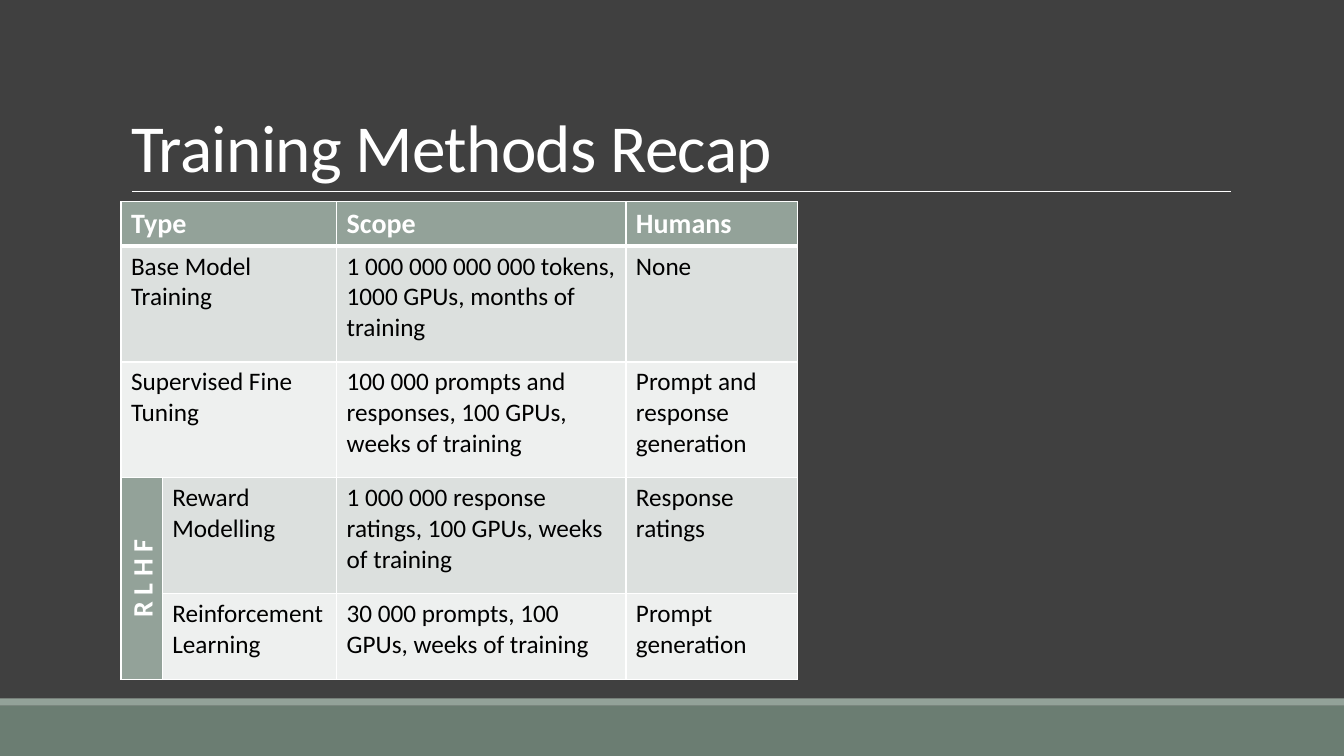
from dataclasses import dataclass

from lxml.etree import SubElement
from pptx import Presentation
from pptx.dml.color import RGBColor
from pptx.enum.shapes import MSO_CONNECTOR, MSO_SHAPE
from pptx.enum.text import MSO_ANCHOR, PP_ALIGN
from pptx.oxml.ns import qn
from pptx.util import Inches, Pt

GRID_COLS, GRID_ROWS = 160, 90


@dataclass(frozen=True)
class Theme:
    font: str = "Calibri"
    background: str = "404040"
    footer: str = "6B7D72"
    accent: str = "93A299"
    bands: tuple = ("DCE0DE", "EEF0EF")
    light: str = "FFFFFF"
    dark: str = "000000"
    title_size: float = 48
    head_size: float = 20
    body_size: float = 18
    thin: float = 1
    thick: float = 3


def rgb(value):
    return RGBColor.from_string(value)


def write(tf, text, *, font, size, color, bold=False, align=PP_ALIGN.LEFT,
          line_spacing=None, tracking=None):
    """Put one formatted paragraph in a text frame; tracking is in points."""
    tf.word_wrap = True
    p = tf.paragraphs[0]
    p.alignment = align
    if line_spacing:
        p.line_spacing = line_spacing
    r = p.add_run()
    r.text = text
    r.font.name, r.font.size, r.font.bold = font, Pt(size), bold
    r.font.color.rgb = rgb(color)
    if tracking:
        r.font._element.set("spc", str(round(tracking * 100)))


def set_borders(cell, color, **widths):
    """Draw cell borders; widths maps L, R, T, B to points, in that order."""
    tcPr = cell._tc.get_or_add_tcPr()
    for side, width in widths.items():
        ln = SubElement(tcPr, qn(f"a:ln{side}"), w=str(Pt(width)))
        fill = SubElement(ln, qn("a:solidFill"))
        SubElement(fill, qn("a:srgbClr"), val=color)


class SlideBuilder:
    """Places elements by columns and rows of the slide grid."""

    def __init__(self, prs, theme):
        self.theme = theme
        self.col = prs.slide_width / GRID_COLS
        self.row = prs.slide_height / GRID_ROWS
        self.slide = prs.slides.add_slide(prs.slide_layouts[5])
        fill = self.slide.background.fill
        fill.solid()
        fill.fore_color.rgb = rgb(theme.background)

    def x(self, cols):
        return round(cols * self.col)

    def y(self, rows):
        return round(rows * self.row)

    def band(self, top, height, color):
        sp = self.slide.shapes.add_shape(
            MSO_SHAPE.RECTANGLE, 0, self.y(top), self.x(GRID_COLS), self.y(height))
        sp.shadow.inherit = False
        sp.fill.solid()
        sp.fill.fore_color.rgb = rgb(color)
        sp.line.fill.background()

    def rule(self, left, right, top, width):
        line = self.slide.shapes.add_connector(
            MSO_CONNECTOR.STRAIGHT, self.x(left), self.y(top), self.x(right), self.y(top))
        line.line.color.rgb = rgb(self.theme.light)
        line.line.width = Pt(width)
        SubElement(line._element.spPr, qn("a:effectLst"))

    def title(self, text, left, top, width, height):
        t, sp = self.theme, self.slide.shapes.title
        sp.left, sp.top = self.x(left), self.y(top)
        sp.width, sp.height = self.x(width), self.y(height)
        sp.text_frame.vertical_anchor = MSO_ANCHOR.BOTTOM
        write(sp.text_frame, text, font=t.font, size=t.title_size, color=t.light,
              line_spacing=0.85, tracking=-0.5)

    def table(self, rows, left, top, widths, heights):
        """Fill a table; None joins the cell to its left, or above in column 0."""
        table = self.slide.shapes.add_table(
            len(heights), len(widths), self.x(left), self.y(top),
            self.x(sum(widths)), self.y(sum(heights))).table
        table.horz_banding = False
        for column, width in zip(table.columns, widths):
            column.width = self.x(width)
        for row, height in zip(table.rows, heights):
            row.height = self.y(height)
        for i, texts in enumerate(rows):
            for j, text in enumerate(texts):
                self.cell(table, i, j, text, side_label=j == 0 and None in rows[-1][:1]
                          and i >= len(rows) - 2)

    def cell(self, table, i, j, text, side_label):
        t, cell = self.theme, table.cell(i, j)
        heading = i == 0 or side_label
        set_borders(cell, t.light, L=t.thin, R=t.thin,
                    T=t.thick if i == 1 else t.thin,
                    B=t.thick if i == 0 else t.thin)
        cell.fill.solid()
        cell.fill.fore_color.rgb = rgb(t.accent if heading else t.bands[(i - 1) % 2])
        if text is None:
            origin = table.cell(i, j - 1) if j else table.cell(i - 1, j)
            origin.merge(cell)
            return
        if side_label:
            cell.vertical_anchor = MSO_ANCHOR.MIDDLE
            cell._tc.get_or_add_tcPr().set("vert", "vert270")
        write(cell.text_frame, text, font=t.font, bold=heading,
              size=t.head_size if heading else t.body_size,
              color=t.light if heading else t.dark,
              align=PP_ALIGN.CENTER if side_label else PP_ALIGN.LEFT)


METHODS = [
    ("Type", None, "Scope", "Humans"),
    ("Base Model Training", None,
     "1 000 000 000 000 tokens, 1000 GPUs, months of training", "None"),
    ("Supervised Fine Tuning", None,
     "100 000 prompts and responses, 100 GPUs, weeks of training",
     "Prompt and response generation"),
    ("R L H F", "Reward Modelling",
     "1 000 000 response ratings, 100 GPUs, weeks of training", "Response ratings"),
    (None, "Reinforcement Learning",
     "30 000 prompts, 100 GPUs, weeks of training", "Prompt generation"),
]


def main():
    prs = Presentation()
    prs.slide_width, prs.slide_height = Inches(13.33), Inches(7.5)
    theme = Theme()
    s = SlideBuilder(prs, theme)
    s.band(84, 6, theme.footer)
    s.band(83.16, 0.84, theme.accent)
    s.rule(15.72, 146.52, 22.8, width=0.5)
    s.title("Training Methods Recap", 14.4, 3.72, 132, 19.08)
    s.table(METHODS, 14.4, 24, widths=(4.92, 20.76, 34.44, 20.4),
            heights=(5.28, 13.8, 13.8, 13.8, 10.2))
    prs.save("out.pptx")


if __name__ == "__main__":
    main()
